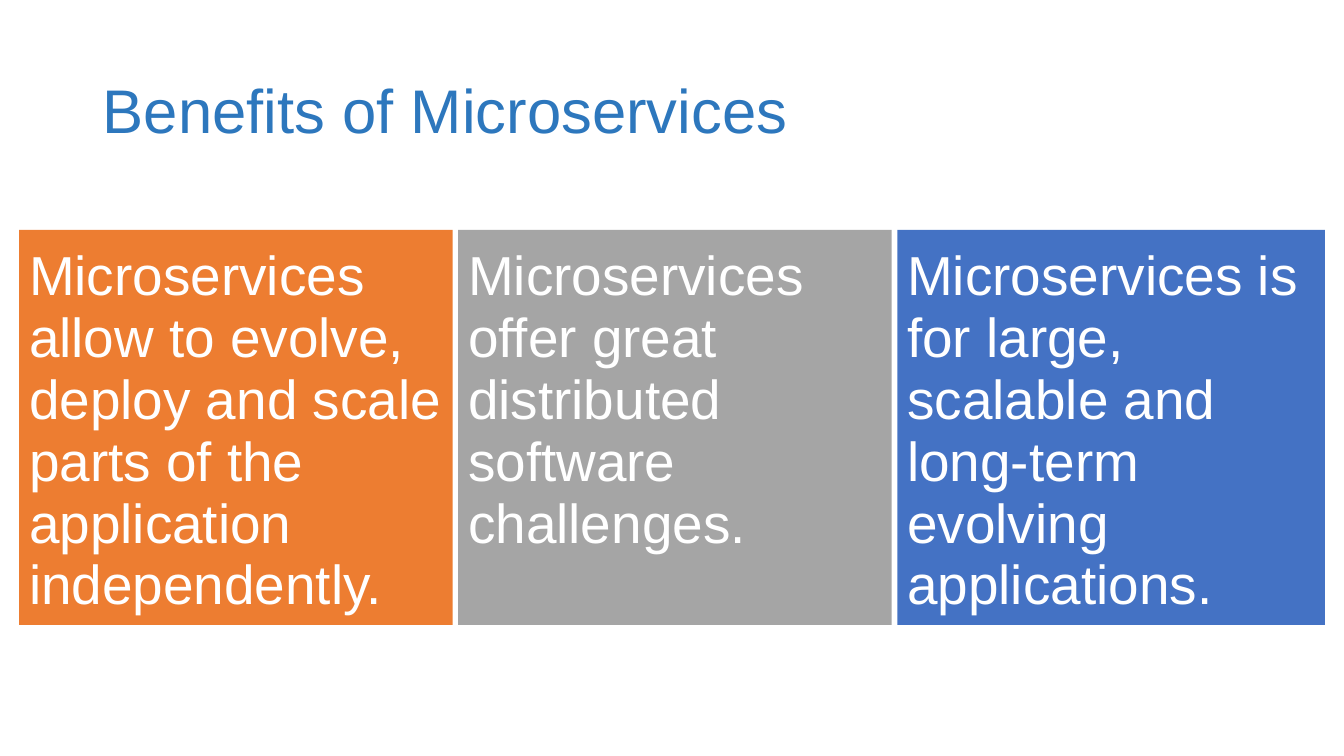
from dataclasses import dataclass

from pptx import Presentation
from pptx.dml.color import RGBColor
from pptx.enum.shapes import MSO_SHAPE
from pptx.enum.text import MSO_ANCHOR, PP_ALIGN
from pptx.util import Inches, Pt

RECTANGLE = MSO_SHAPE.RECTANGLE
TOP, MIDDLE = MSO_ANCHOR.TOP, MSO_ANCHOR.MIDDLE
LEFT = PP_ALIGN.LEFT
TITLE_ONLY = 5


@dataclass(frozen=True)
class Theme:
    font: str = "Arial"
    title_size: float = 44
    body_size: float = 39.2
    title: str = "2D77BD"
    body: str = "FFFFFF"
    orange: str = "ED7D31"
    grey: str = "A5A5A5"
    blue: str = "4472C4"


def write_text(frame, text, *, font, size, color, anchor, spacing):
    frame.word_wrap = True
    frame.vertical_anchor = anchor
    para = frame.paragraphs[0]
    para.alignment = LEFT
    para.line_spacing = spacing
    span = para.add_run()
    span.text = text
    span.font.name = font
    span.font.size = Pt(size)
    span.font.color.rgb = RGBColor.from_string(color)


class SlideBuilder:
    def __init__(self, page, theme):
        self.page = page
        self.theme = theme

    def title(self, text, left, top, width, height):
        box = self.page.shapes.title
        box.left, box.top = Inches(left), Inches(top)
        box.width, box.height = Inches(width), Inches(height)
        write_text(box.text_frame, text, font=self.theme.font,
                   size=self.theme.title_size, color=self.theme.title,
                   anchor=MIDDLE, spacing=0.9)

    def panel(self, text, fill, left, top, width, height):
        box = self.page.shapes.add_shape(
            RECTANGLE, Inches(left), Inches(top), Inches(width), Inches(height))
        box.shadow.inherit = False
        box.fill.solid()
        box.fill.fore_color.rgb = RGBColor.from_string(fill)
        box.line.fill.background()
        frame = box.text_frame
        frame.margin_left = frame.margin_right = Inches(0.1)
        frame.margin_top = frame.margin_bottom = Inches(0.16)
        write_text(frame, text, font=self.theme.font,
                   size=self.theme.body_size, color=self.theme.body,
                   anchor=TOP, spacing=0.94)


def main():
    deck = Presentation()
    deck.slide_width, deck.slide_height = Inches(13.33), Inches(7.5)
    theme = Theme()
    page = deck.slides.add_slide(deck.slide_layouts[TITLE_ONLY])
    builder = SlideBuilder(page, theme)
    builder.title("Benefits of Microservices", 0.92, 0.4, 11.5, 1.45)

    benefits = [
        ("Microservices allow to evolve, deploy and scale parts of the "
         "application independently.", theme.orange, 4.3),
        ("Microservices offer great distributed software challenges.",
         theme.grey, 4.3),
        ("Microservices is for large, scalable and long-term evolving "
         "applications.", theme.blue, 4.24),
    ]
    left, gap = 0.19, 0.055
    for text, fill, width in benefits:
        builder.panel(text, fill, left, 2.28, width, 3.92)
        left += width + gap

    deck.save("out.pptx")


if __name__ == "__main__":
    main()
